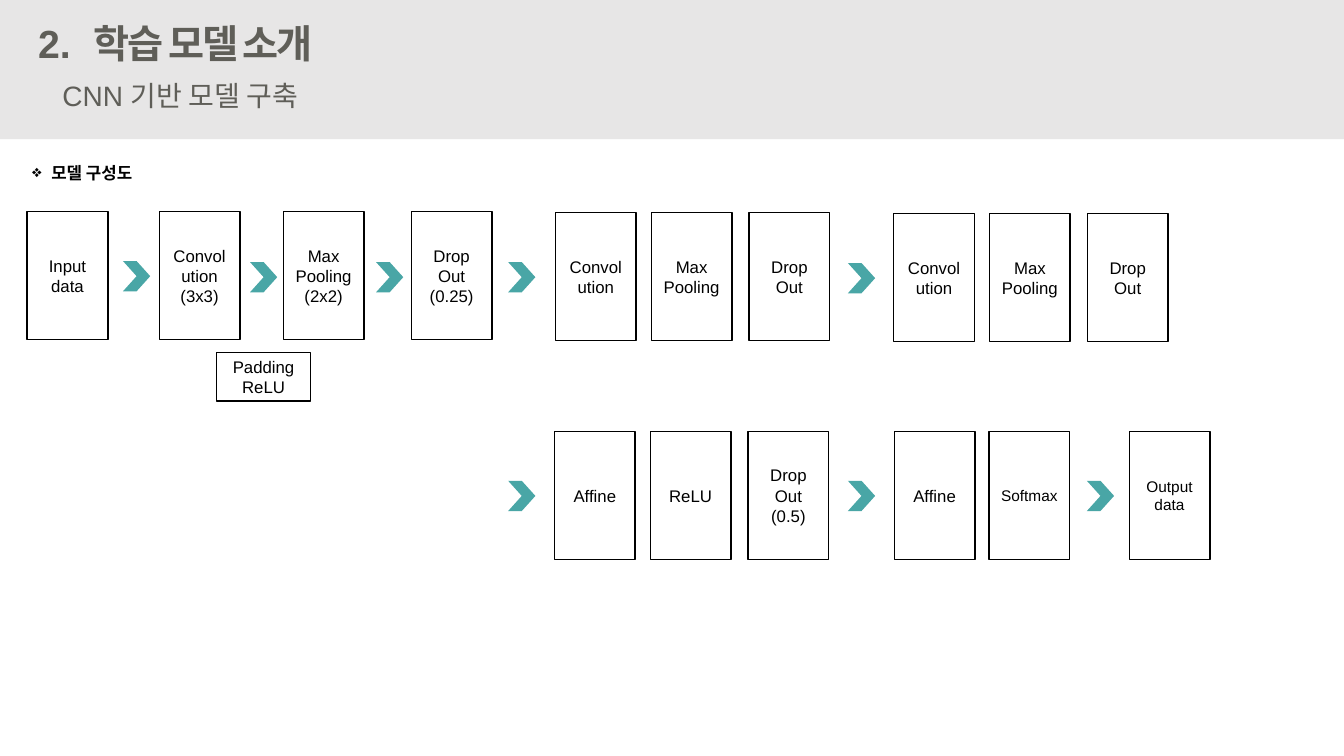
from lxml import etree
from pptx import Presentation
from pptx import util as u
from pptx.dml.color import RGBColor
from pptx.enum import shapes, text
from pptx.oxml.ns import qn

INK, GREY, BAND, TEAL = "000000", "5F5E58", "E7E6E6", "49A6A6"
LATIN, KOREAN = "Arial", "Noto Sans CJK KR"
BOX_WIDTH, BOX_HEIGHT = 8, 12.7


def colour(hex_string):
    return RGBColor.from_string(hex_string)


class Diagram:
    cell = u.Inches(0.1)

    def __init__(self, slide):
        self.slide = slide

    def place(self, *lengths):
        return [round(length * self.cell) for length in lengths]

    def shape(self, preset, column, row, width, height, fill=None):
        shape = self.slide.shapes.add_shape(
            preset, *self.place(column, row, width, height))
        shape.shadow.inherit = False
        if fill:
            shape.fill.solid()
            shape.fill.fore_color.rgb = colour(fill)
            shape.line.fill.background()
        else:
            shape.fill.background()
            shape.line.color.rgb = colour(INK)
            shape.line.width = u.Pt(1)
        return shape

    def fill_text(self, frame, wording, size, font=LATIN, ink=INK, bold=False,
                  align=text.PP_ALIGN.LEFT):
        frame.text = wording
        for paragraph in frame.paragraphs:
            paragraph.alignment = align
            paragraph.font.size = u.Pt(size)
            paragraph.font.name = font
            paragraph.font.bold = bold
            paragraph.font.color.rgb = colour(ink)
            for run in paragraph.runs:
                east_asian = etree.SubElement(run._r.get_or_add_rPr(), qn("a:ea"))
                east_asian.set("typeface", KOREAN)

    def box(self, wording, column, row, width=BOX_WIDTH, height=BOX_HEIGHT, size=12):
        box = self.shape(shapes.MSO_SHAPE.RECTANGLE, column, row, width, height)
        box.text_frame.vertical_anchor = text.MSO_ANCHOR.MIDDLE
        self.fill_text(box.text_frame, wording, size, align=text.PP_ALIGN.CENTER)

    def chevron(self, column, row):
        self.shape(shapes.MSO_SHAPE.CHEVRON, column, row, 2.7, 3, TEAL)

    def label(self, wording, column, row, width, height, size, **style):
        label = self.slide.shapes.add_textbox(*self.place(column, row, width, height))
        label.text_frame.word_wrap = False
        label.text_frame.auto_size = text.MSO_AUTO_SIZE.SHAPE_TO_FIT_TEXT
        self.fill_text(label.text_frame, wording, size, **style)
        return label.text_frame.paragraphs[0]

    def bullet(self, paragraph, mark, indent):
        properties = paragraph._p.get_or_add_pPr()
        properties.set("marL", str(u.Inches(indent)))
        properties.set("indent", str(-u.Inches(indent)))
        symbol = etree.Element(qn("a:buChar"), char=mark)
        properties.insert(0, symbol)


def main():
    deck = Presentation()
    deck.slide_width, deck.slide_height = u.Inches(13.33), u.Inches(7.5)
    diagram = Diagram(deck.slides.add_slide(deck.slide_layouts[6]))

    diagram.shape(shapes.MSO_SHAPE.RECTANGLE, 0, 0, 133.3, 13.8, BAND)
    diagram.label("2.", 2.7, 1.4, 5.3, 5.7, 28, ink=GREY, bold=True,
                  align=text.PP_ALIGN.RIGHT)
    title = diagram.label("학습 모델 소개", 8.3, 1.4, 26.7, 5.7, 28,
                          font=KOREAN, ink=GREY, bold=True)
    title.runs[0]._r.get_or_add_rPr().set("spc", "-150")
    diagram.label("CNN 기반 모델 구축", 5.2, 7.3, 27.3, 4.4, 20, ink=GREY)
    heading = diagram.label("모델 구성도", 2.2, 15.7, 12.8, 3, 12, bold=True)
    diagram.bullet(heading, "❖", 0.19)

    first_block = [("Input\ndata", 2.7), ("Convolution\v(3x3)", 15.8),
                   ("Max Pooling\v(2x2)", 28.1), ("Drop Out\n(0.25)", 40.8)]
    for wording, column in first_block:
        diagram.box(wording, column, 21)
    diagram.box("Padding\nReLU", 21.5, 35, 9.3, 4.8)

    repeated_block = ["Convolution", "Max Pooling", "Drop Out"]
    dense_block = ["Affine", "ReLU", "Drop Out\n(0.5)"]
    offsets = [0, 9.5, 19.2]
    for block, left, row in [(repeated_block, 55.1, 21.1),
                             (repeated_block, 88.65, 21.2),
                             (dense_block, 55, 42.8)]:
        for wording, offset in zip(block, offsets):
            diagram.box(wording, left + offset, row)

    diagram.box("Affine", 88.7, 42.8)
    diagram.box("Softmax", 98.1, 42.8, size=11)
    diagram.box("Output\ndata", 112, 42.8, size=11)

    for row, columns in [(25.9, [12.2]), (26, [24.8, 37.3, 50.4]),
                         (26.1, [84.1]), (47.7, [50.4, 84.1, 107.8])]:
        for column in columns:
            diagram.chevron(column, row)

    deck.save("out.pptx")


if __name__ == "__main__":
    main()
